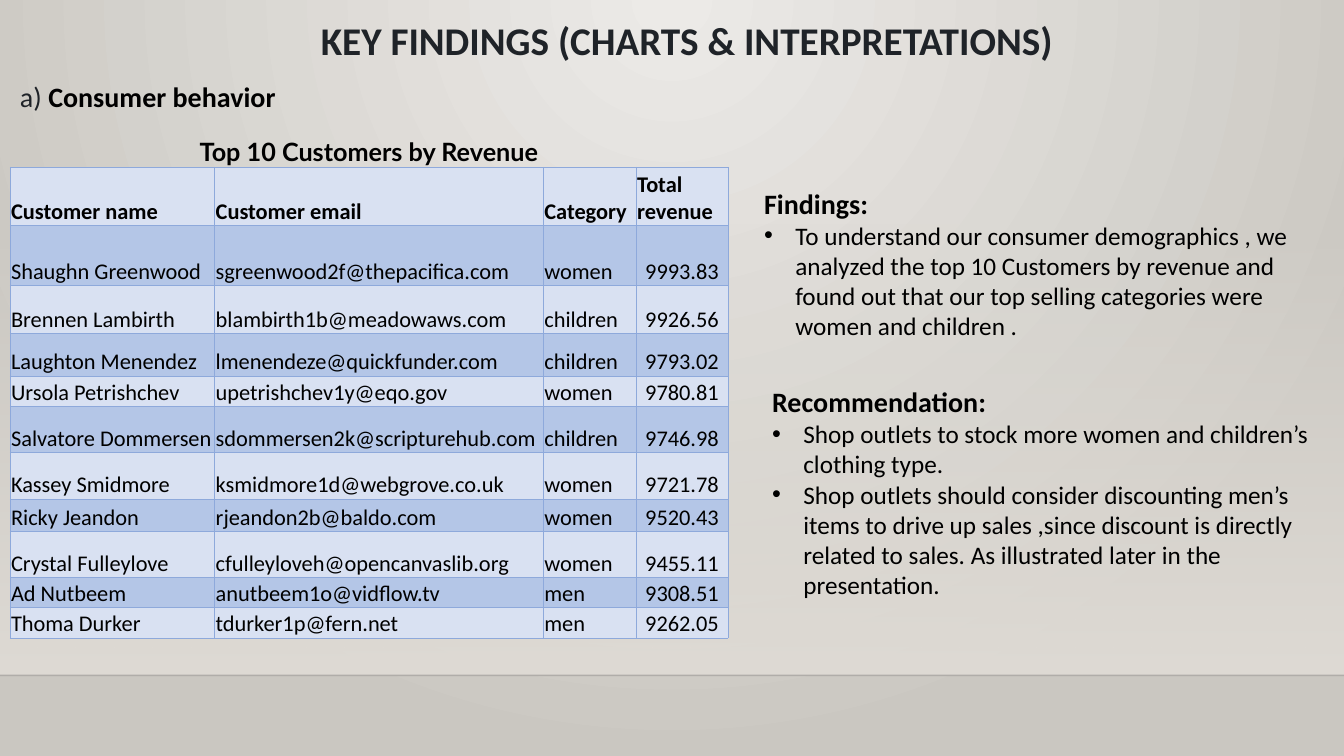
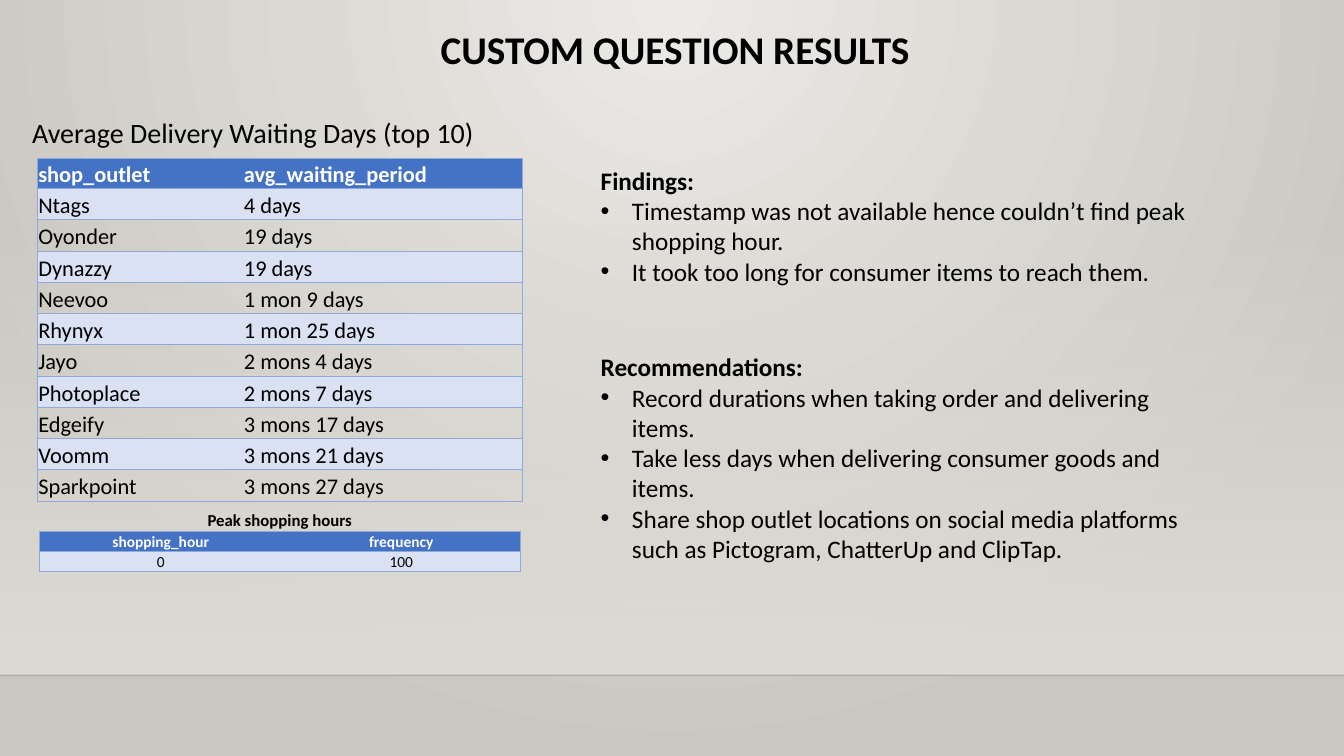
import lxml.etree
import pptx
import pptx.dml.color
import pptx.enum.shapes
import pptx.enum.text
import pptx.oxml.ns
import pptx.util

Inches = pptx.util.Inches
Pt = pptx.util.Pt
qn = pptx.oxml.ns.qn
SubElement = lxml.etree.SubElement
Align = pptx.enum.text.PP_ALIGN
Anchor = pptx.enum.text.MSO_ANCHOR

FONT = "Calibri"
BLACK, INK, WHITE = "000000", "1F2328", "FFFFFF"
PALE, MID, STRONG, GRID = "D9E1F2", "B4C6E7", "4472C4", "8EA9DB"
SAND = "DFDBD5"
PLAIN_TABLE = "{2D5ABB26-0587-4C30-8999-92F81FD0307C}"


def rgb(value):
    return pptx.dml.color.RGBColor.from_string(value)


def format_runs(para, size, color=BLACK, bold=False, font=FONT):
    for span in para.runs:
        span.font.name = font
        span.font.size = Pt(size)
        span.font.bold = bold
        span.font.color.rgb = rgb(color)


deck = pptx.Presentation()
deck.slide_width = Inches(13.33)
deck.slide_height = Inches(7.5)
master = deck.slide_master
title_only = deck.slide_layouts[5]
findings_page = deck.slides.add_slide(title_only)
results_page = deck.slides.add_slide(title_only)

backdrop = master.background.fill
backdrop.gradient()
for stop, color in zip(backdrop.gradient_stops, ("ECEAE7", "CAC7C1")):
    stop.color.rgb = rgb(color)
linear = master.element.xpath(".//p:bg//a:lin")[0]
radial = SubElement(linear.getparent(), qn("a:path"), path="circle")
SubElement(radial, qn("a:fillToRect"), l="43000", t="0", r="43000", b="100000")
linear.getparent().replace(linear, radial)

band = findings_page.shapes.add_shape(
    pptx.enum.shapes.MSO_SHAPE.RECTANGLE,
    Inches(0), Inches(2.21), Inches(13.33), Inches(4.49))
band.shadow.inherit = False
band.line.fill.background()
band.fill.gradient()
band.fill.gradient_angle = 270
for stop in band.fill.gradient_stops:
    stop.color.rgb = rgb(SAND)
SubElement(band.element.xpath(".//a:gs/a:srgbClr")[0], qn("a:alpha"), val="0")

floor_line = findings_page.shapes.add_connector(
    pptx.enum.shapes.MSO_CONNECTOR.STRAIGHT,
    Inches(0), Inches(6.7), Inches(13.33), Inches(6.7))
floor_line.line.width = Pt(1)
floor_line.line.color.rgb = rgb("000001")
SubElement(floor_line.element.xpath(".//a:ln//a:srgbClr")[0], qn("a:alpha"), val="20000")
SubElement(floor_line.element.spPr, qn("a:effectLst"))

for order, part in enumerate((band, floor_line)):
    part.element.xpath(".//p:cNvPr")[0].set("id", str(20 + order))
    master.element.cSld.spTree.insert(2 + order, part.element)

titles = [
    (findings_page, "KEY FINDINGS (CHARTS & INTERPRETATIONS)", INK, 1.14, 0.16, 11.34, 0.53),
    (results_page, "CUSTOM QUESTION RESULTS", BLACK, 0.1, 0.26, 13.19, 0.5),
]
for page, words, color, left, top, width, height in titles:
    title = page.shapes.title
    title.left, title.top = Inches(left), Inches(top)
    title.width, title.height = Inches(width), Inches(height)
    frame = title.text_frame
    frame.text = words
    frame.auto_size = pptx.enum.text.MSO_AUTO_SIZE.NONE
    frame.vertical_anchor = Anchor.MIDDLE
    para = frame.paragraphs[0]
    para.alignment = Align.CENTER
    para.line_spacing = 0.9
    format_runs(para, 28, color, True)

subtitles = [
    (findings_page, 0.1, 0.67, [("a) ", INK, False), ("Consumer behavior", BLACK, True)]),
    (results_page, 0.22, 1.03, [("Average Delivery Waiting Days (top 10)", BLACK, False)]),
]
for page, left, top, pieces in subtitles:
    box = page.shapes.add_textbox(Inches(left), Inches(top), Inches(6), Inches(0.5))
    box.text_frame.word_wrap = True
    para = box.text_frame.paragraphs[0]
    para.line_spacing = 1.2
    for words, color, bold in pieces:
        span = para.add_run()
        span.text = words
        span.font.name = FONT
        span.font.size = Pt(20)
        span.font.bold = bold
        span.font.color.rgb = rgb(color)

tables = [
    dict(
        page=findings_page, left=0.1, top=1.24,
        widths=[2.03, 3.26, 0.92, 0.91],
        heights=[0.42, 0.58, 0.59, 0.48, 0.42, 0.3, 0.46, 0.46, 0.32, 0.46, 0.3, 0.3],
        caption="Top 10 Customers by Revenue", caption_size=18, caption_font="Lato",
        size=16, header=(PALE, BLACK), bands=(MID, PALE),
        centred_header=(), centred=(3,), inner_grid=True,
        rows=[
            ("Customer name", "Customer email", "Category", "Total revenue"),
            ("Shaughn Greenwood", "sgreenwood2f@thepacifica.com", "women", "9993.83"),
            ("Brennen Lambirth", "blambirth1b@meadowaws.com", "children", "9926.56"),
            ("Laughton Menendez", "lmenendeze@quickfunder.com", "children", "9793.02"),
            ("Ursola Petrishchev", "upetrishchev1y@eqo.gov", "women", "9780.81"),
            ("Salvatore Dommersen", "sdommersen2k@scripturehub.com", "children", "9746.98"),
            ("Kassey Smidmore", "ksmidmore1d@webgrove.co.uk", "women", "9721.78"),
            ("Ricky Jeandon", "rjeandon2b@baldo.com", "women", "9520.43"),
            ("Crystal Fulleylove", "cfulleyloveh@opencanvaslib.org", "women", "9455.11"),
            ("Ad Nutbeem", "anutbeem1o@vidflow.tv", "men", "9308.51"),
            ("Thoma Durker", "tdurker1p@fern.net", "men", "9262.05"),
        ]),
    dict(
        page=results_page, left=0.37, top=1.57,
        widths=[2.04, 2.77], heights=[0.3] + [0.31] * 10, caption=None,
        size=16, header=(STRONG, WHITE), bands=(PALE, None),
        centred_header=(), centred=(), inner_grid=False,
        rows=[
            ("shop_outlet", "avg_waiting_period"),
            ("Ntags", "4 days"),
            ("Oyonder", "19 days"),
            ("Dynazzy", "19 days"),
            ("Neevoo", "1 mon 9 days"),
            ("Rhynyx", "1 mon 25 days"),
            ("Jayo", "2 mons 4 days"),
            ("Photoplace", "2 mons 7 days"),
            ("Edgeify", "3 mons 17 days"),
            ("Voomm", "3 mons 21 days"),
            ("Sparkpoint", "3 mons 27 days"),
        ]),
    dict(
        page=results_page, left=0.39, top=5.05,
        widths=[2.41, 2.36], heights=[0.22, 0.2, 0.2],
        caption="Peak shopping hours", caption_size=12, caption_font=FONT,
        size=11, header=(STRONG, WHITE), bands=(PALE, None),
        centred_header=(0, 1), centred=(0, 1), inner_grid=False,
        rows=[("shopping_hour", "frequency"), ("0", "100")]),
]
for data in tables:
    columns = len(data["widths"])
    offset = 1 if data["caption"] else 0
    holder = data["page"].shapes.add_table(
        len(data["heights"]), columns, Inches(data["left"]), Inches(data["top"]),
        Inches(sum(data["widths"])), Inches(sum(data["heights"])))
    holder.element.xpath(".//a:tableStyleId")[0].text = PLAIN_TABLE
    table = holder.table
    table.first_row = table.horz_banding = False
    for column, width in zip(table.columns, data["widths"]):
        column.width = Inches(width)
    for row, height in zip(table.rows, data["heights"]):
        row.height = Inches(height)
    if data["caption"]:
        table.cell(0, 0).merge(table.cell(0, columns - 1))
        table.cell(0, 0).text = data["caption"]

    for index, cell_element in enumerate(holder.element.xpath(".//a:tc")):
        row_index, column_index = divmod(index, columns)
        level = row_index - offset
        cell = table.cell(row_index, column_index)
        cell.vertical_anchor = Anchor.BOTTOM
        cell.margin_left = cell.margin_right = cell.margin_top = Inches(0.01)
        cell.margin_bottom = 0
        para = cell.text_frame.paragraphs[0]
        fill, sides = None, "B"
        if level < 0:
            para.alignment = Align.CENTER
            format_runs(para, data["caption_size"], BLACK, True, data["caption_font"])
        else:
            para.text = data["rows"][level][column_index]
            fill, color = data["header"] if level == 0 else (data["bands"][(level - 1) % 2], BLACK)
            centred = data["centred_header"] if level == 0 else data["centred"]
            para.alignment = Align.CENTER if column_index in centred else Align.LEFT
            format_runs(para, data["size"], color, level == 0)
            sides = "TB"
            if data["inner_grid"] or column_index == columns - 1:
                sides = "R" + sides
            if data["inner_grid"] or column_index == 0:
                sides = "L" + sides
        if fill:
            cell.fill.solid()
            cell.fill.fore_color.rgb = rgb(fill)
        else:
            cell.fill.background()
        properties = cell_element.get_or_add_tcPr()
        for place, side in enumerate(sides):
            border = SubElement(properties, qn("a:ln" + side), w=str(Pt(0.5)))
            SubElement(SubElement(border, qn("a:solidFill")), qn("a:srgbClr"), val=GRID)
            properties.insert(place, border)

notes = [
    (findings_page, 7.48, 1.8, 5.42, 1.65, 20, "Findings:", [
        "To understand our consumer demographics , we analyzed the top 10 Customers by revenue "
        "and found out that our top selling categories were women and children ."]),
    (findings_page, 7.56, 3.77, 5.67, 2.26, 20, "Recommendation:", [
        "Shop outlets to stock more women and children’s clothing type.",
        "Shop outlets should consider discounting men’s items to drive up sales ,since discount "
        "is directly related to sales. As illustrated later in the presentation."]),
    (results_page, 5.86, 1.59, 6.1, 1.3, 18, "Findings:", [
        "Timestamp was not available hence couldn’t find peak shopping hour.",
        "It took too long for consumer items to reach them."]),
    (results_page, 5.86, 3.44, 6.22, 2.52, 18, "Recommendations:", [
        "Record durations when taking order and delivering items.",
        "Take less days when delivering consumer goods and items.",
        "Share shop outlet locations on social media platforms such as "
        "Pictogram, ChatterUp and ClipTap."]),
]
for page, left, top, width, height, heading_size, heading, points in notes:
    box = page.shapes.add_textbox(Inches(left), Inches(top), Inches(width), Inches(height))
    frame = box.text_frame
    frame.word_wrap = True
    frame.text = "\n".join([heading] + points)
    format_runs(frame.paragraphs[0], heading_size, bold=True)
    for para in frame.paragraphs[1:]:
        format_runs(para, 18)
    for element in box.element.xpath(".//a:p")[1:]:
        properties = element.get_or_add_pPr()
        properties.set("marL", str(Inches(0.31)))
        properties.set("indent", str(-Inches(0.31)))
        SubElement(properties, qn("a:buFont"), typeface="Arial")
        SubElement(properties, qn("a:buChar"), char="•")

deck.save("out.pptx")
